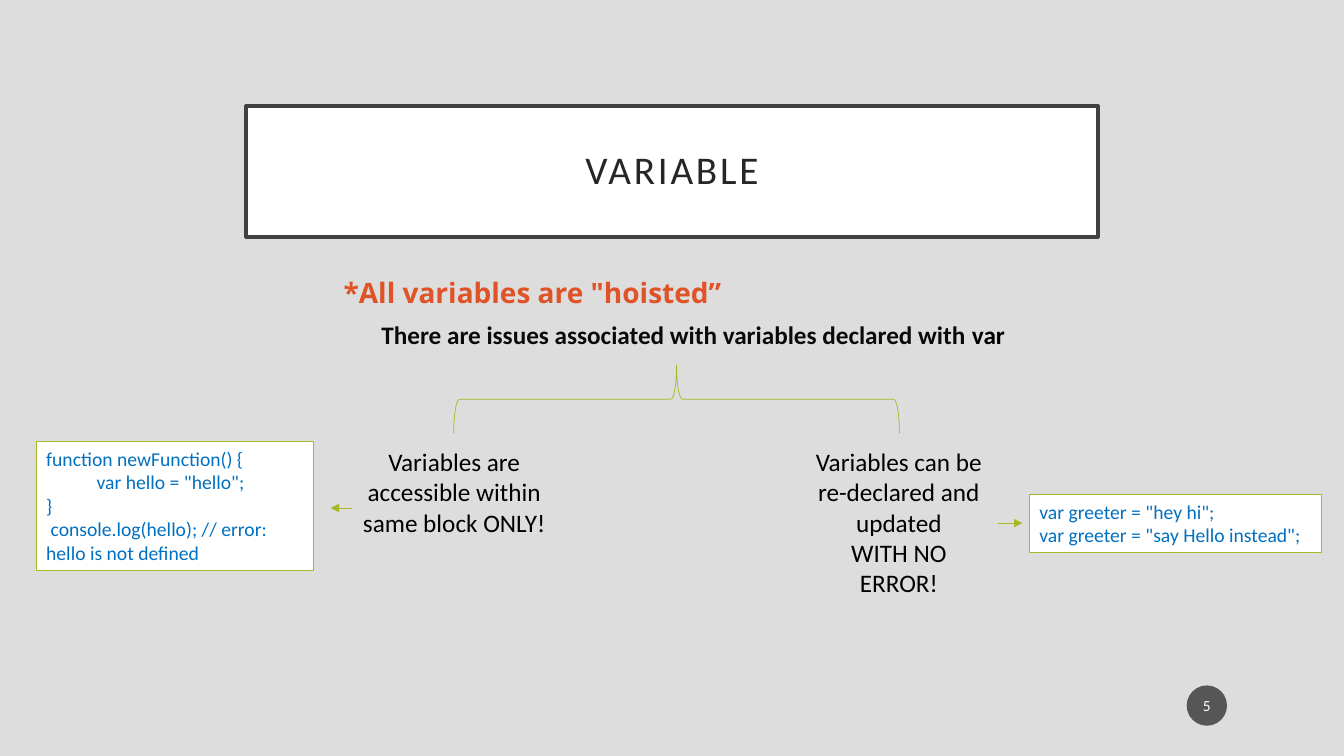
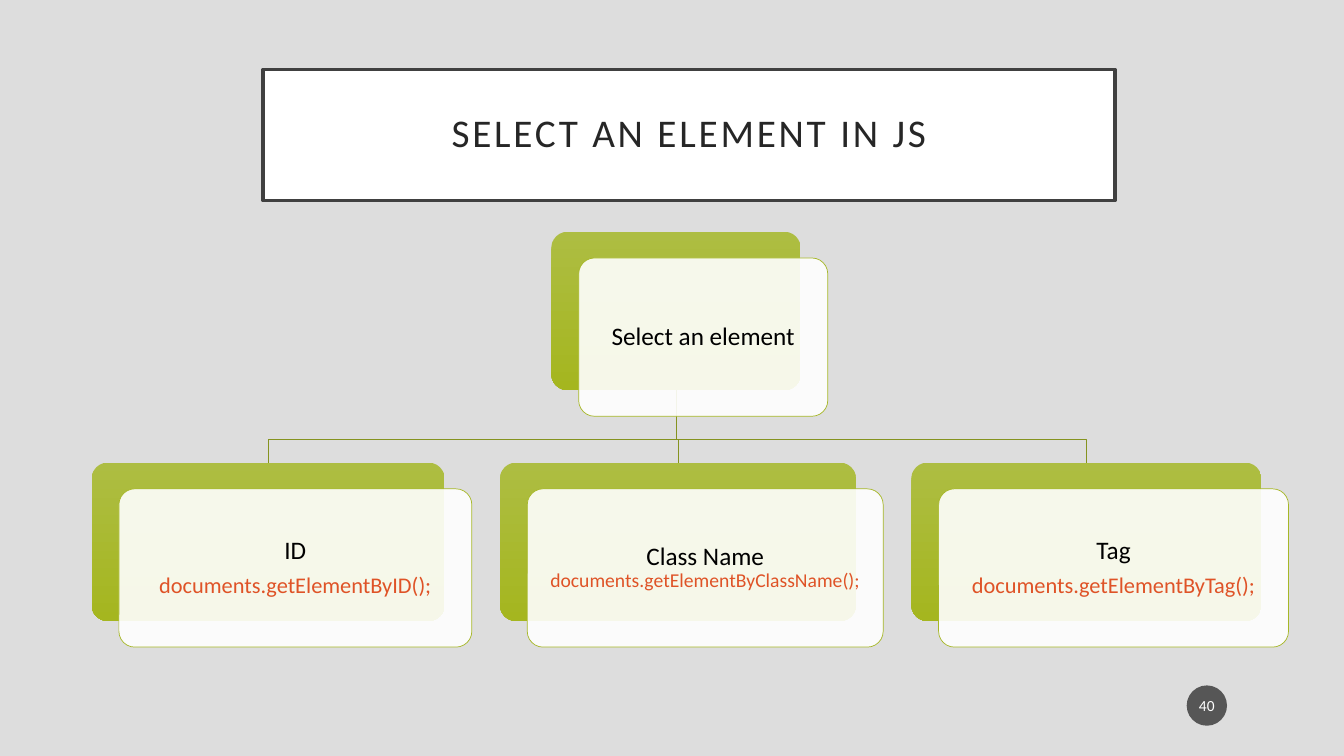
from lxml import etree
from pptx import Presentation
from pptx.dml.color import RGBColor
from pptx.enum.shapes import MSO_CONNECTOR, MSO_SHAPE
from pptx.enum.text import MSO_ANCHOR, MSO_AUTO_SIZE, PP_ALIGN
from pptx.oxml.ns import qn
from pptx.util import Inches, Pt

LEFT, CENTER = PP_ALIGN.LEFT, PP_ALIGN.CENTER
TOP, MIDDLE = MSO_ANCHOR.TOP, MSO_ANCHOR.MIDDLE
GROW, FIXED = MSO_AUTO_SIZE.SHAPE_TO_FIT_TEXT, MSO_AUTO_SIZE.NONE
RECT, ROUND_RECT = MSO_SHAPE.RECTANGLE, MSO_SHAPE.ROUNDED_RECTANGLE
OVAL, BRACE = MSO_SHAPE.OVAL, MSO_SHAPE.LEFT_BRACE
STRAIGHT = MSO_CONNECTOR.STRAIGHT

BODY_FONT, ACCENT_FONT = "Calibri", "Open Sans"
BACKGROUND, WHITE, BLACK = "DDDDDD", "FFFFFF", "000000"
TITLE_TEXT, TITLE_BORDER, BADGE = "262626", "404040", "1D1D1D"
GREEN, LINK_GREEN = "A6B727", "85931F"
CARD_TOP_GREEN, CARD_BOTTOM_GREEN = "ADBD42", "A5B61F"
ORANGE, CODE_BLUE, STATEMENT_TEXT = "DF5327", "0070C0", "0A0A0A"

CARD_HEIGHT = 1.57
CARD_SHIFT = (0.27, 0.26)
CARD_GAP = 0.55


def rgb(color):
    """Turn a hex string into a colour."""
    return RGBColor.from_string(color)


def paint(shape, fill=None, line=None, width=0.5, opacity=100):
    """Set fill, outline and opacity, and drop the shadow."""
    shape.shadow.inherit = False
    if fill:
        shape.fill.solid()
        shape.fill.fore_color.rgb = rgb(fill)
        if opacity < 100:
            tint = shape.fill._xPr.find(".//" + qn("a:srgbClr"))
            etree.SubElement(tint, qn("a:alpha")).set("val", str(opacity * 1000))
    else:
        shape.fill.background()
    if line:
        shape.line.color.rgb = rgb(line)
        shape.line.width = Pt(width)
    else:
        shape.line.fill.background()


def style_run(run, size, color, bold=False, font=BODY_FONT):
    """Format one run."""
    run.font.name = font
    run.font.size = Pt(size)
    run.font.bold = bold
    run.font.color.rgb = rgb(color)


def write(frame, text, size, color, align=LEFT, anchor=TOP, fit=FIXED,
          insets=(0.1, 0.05), bold=False, font=BODY_FONT):
    """Fill a text frame, one paragraph a line, in a single style."""
    frame.text = text
    frame.word_wrap = True
    frame.auto_size = fit
    frame.vertical_anchor = anchor
    frame.margin_left = frame.margin_right = Inches(insets[0])
    frame.margin_top = frame.margin_bottom = Inches(insets[1])
    for paragraph in frame.paragraphs:
        paragraph.alignment = align
        for run in paragraph.runs:
            style_run(run, size, color, bold, font)


def add_box(slide, kind, box):
    """Add a preset shape in a box given in inches."""
    return slide.shapes.add_shape(kind, *map(Inches, box))


def add_note(slide, box, text, size, color, **style):
    """Add a wrapping text box and return its text frame."""
    frame = slide.shapes.add_textbox(*map(Inches, box)).text_frame
    write(frame, text, size, color, fit=GROW, **style)
    return frame


def add_title(slide, left, top, text):
    """Place the framed title."""
    title = slide.shapes.title
    title.left, title.top = Inches(left), Inches(top)
    title.width, title.height = Inches(8.45), Inches(1.3)
    paint(title, WHITE, TITLE_BORDER, 2.5)
    write(title.text_frame, text, 28, TITLE_TEXT, CENTER, MIDDLE, insets=(0.2, 0.2))
    heading = title.text_frame.paragraphs[0]
    heading.line_spacing = 0.9
    heading.runs[0]._r.get_or_add_rPr().set("spc", "200")


def add_page_badge(slide, number):
    """Place the round page number."""
    badge = add_box(slide, OVAL, (11.77, 6.8, 0.4, 0.4))
    paint(badge, BADGE, opacity=70)
    write(badge.text_frame, number, 11, WHITE, CENTER, MIDDLE, insets=(0.02, 0.05))


def start_slide(deck, title_left, title_top, title, number):
    """Add a slide with its title and page number."""
    slide = deck.slides.add_slide(deck.slide_layouts[5])
    add_title(slide, title_left, title_top, title)
    add_page_badge(slide, number)
    return slide


def add_code(slide, box, code):
    """Place a code sample in a green frame."""
    sample = add_box(slide, RECT, box)
    paint(sample, WHITE, GREEN, 0.75)
    write(sample.text_frame, code, 14, CODE_BLUE, fit=GROW)


def add_arrow(slide, start, end, y):
    """Draw a level arrow from one x to another."""
    arrow = slide.shapes.add_connector(
        STRAIGHT, Inches(start), Inches(y), Inches(end), Inches(y))
    arrow.line.color.rgb = rgb(GREEN)
    arrow.line.width = Pt(0.5)
    head = etree.SubElement(arrow.line._get_or_add_ln(), qn("a:tailEnd"))
    head.set("type", "triangle")
    etree.SubElement(arrow._element.spPr, qn("a:effectLst"))


def add_brace(slide, box):
    """Draw a brace that opens downwards and fills the box."""
    left, top, width, height = box
    turned = (left + (width - height) / 2, top + (height - width) / 2, height, width)
    brace = add_box(slide, BRACE, turned)
    brace.rotation = 90
    paint(brace, line=GREEN)


def add_card(slide, box, heading, call="", call_size=16, separator="\n"):
    """Place a green card with a pale sheet on it that holds the text."""
    left, top, width, height = box
    back = add_box(slide, ROUND_RECT, box)
    paint(back)
    back.fill.gradient()
    back.fill.gradient_angle = 270
    for stop, color in zip(back.fill.gradient_stops, (CARD_TOP_GREEN, CARD_BOTTOM_GREEN)):
        stop.color.rgb = rgb(color)
    sheet = add_box(slide, ROUND_RECT,
                    (left + CARD_SHIFT[0], top + CARD_SHIFT[1], width, height))
    paint(sheet, WHITE, GREEN, opacity=90)
    back.adjustments[0] = sheet.adjustments[0] = 0.1
    text = heading + separator + call if call else heading
    write(sheet.text_frame, text, 18, BLACK, CENTER, MIDDLE, insets=(0.07, 0.07))
    for paragraph in sheet.text_frame.paragraphs:
        paragraph.line_spacing = 0.9
        paragraph.space_after = Pt(6)
    if call:
        style_run(sheet.text_frame.paragraphs[-1].runs[-1], call_size, ORANGE)


def add_link(slide, parent, child):
    """Draw an elbow from the foot of one card to the head of another."""
    start_x, start_y = parent[0] + parent[2] / 2, parent[1] + parent[3]
    end_x, end_y = child[0] + child[2] / 2, child[1]
    bend_y = end_y - 0.23
    outline = slide.shapes.build_freeform(Inches(start_x), Inches(start_y))
    corners = ((start_x, bend_y), (end_x, bend_y), (end_x, end_y))
    outline.add_line_segments([(Inches(x), Inches(y)) for x, y in corners], close=False)
    paint(outline.convert_to_shape(), line=LINK_GREEN)


def add_tree(slide, left, top, root, branches):
    """Place a row of cards under a root card and link them."""
    root_box = (5.47, top, 2.47, CARD_HEIGHT)
    boxes = []
    for width, *_ in branches:
        boxes.append((left, top + 2.29, width, CARD_HEIGHT))
        left += width + CARD_GAP
    for box in boxes:
        add_link(slide, root_box, box)
    add_card(slide, root_box, root)
    for box, (_, *content) in zip(boxes, branches):
        add_card(slide, box, *content)


def build_variable_slide(deck):
    """Show the issues of variables declared with var."""
    slide = start_slide(deck, 2.44, 1.05, "VARIABLE", "5")
    add_note(slide, (3.31, 2.68, 6.66, 0.44), "*All variables are \"hoisted”",
             20, ORANGE, bold=True, font=ACCENT_FONT)
    statement = add_note(
        slide, (3.54, 3.12, 6.67, 0.4),
        "There are issues associated with variables declared with\u00a0",
        18, STATEMENT_TEXT, align=CENTER, bold=True)
    keyword = statement.paragraphs[0].add_run()
    keyword.text = "var"
    style_run(keyword, 18, BLACK, bold=True)
    add_brace(slide, (4.5, 3.62, 4.42, 0.68))

    add_note(slide, (3.49, 4.38, 2.03, 1.31),
             "Variables are accessible within same block ONLY!", 18, BLACK, align=CENTER)
    add_code(slide, (0.36, 4.38, 2.75, 1.28),
             "function newFunction() {\n\tvar hello = \"hello\";\n}\n"
             " console.log(hello); // error: hello is not defined")
    add_arrow(slide, 3.49, 3.28, 5.04)

    add_note(slide, (7.93, 4.38, 1.97, 1.62),
             "Variables can be re-declared and updated\nWITH NO ERROR!",
             18, BLACK, align=CENTER)
    add_arrow(slide, 9.9, 10.14, 5.19)
    add_code(slide, (10.21, 4.91, 2.9, 0.57),
             "var greeter = \"hey hi\";\nvar greeter = \"say Hello instead\";")


def build_select_slide(deck):
    """Show the ways to select an element."""
    slide = start_slide(deck, 2.61, 0.69, "SELECT AN ELEMENT IN JS", "40")
    add_tree(slide, 0.91, 2.3, "Select an element", (
        (3.5, "ID", "documents.getElementByID();"),
        (3.53, "Class Name", "documents.getElementByClassName();", 14, "\v"),
        (3.47, "Tag", "documents.getElementByTag();"),
    ))


def main():
    """Build and save the deck."""
    deck = Presentation()
    deck.slide_width, deck.slide_height = Inches(13.33), Inches(7.5)
    backdrop = deck.slide_master.background.fill
    backdrop.solid()
    backdrop.fore_color.rgb = rgb(BACKGROUND)
    build_variable_slide(deck)
    build_select_slide(deck)
    deck.save("out.pptx")


main()
